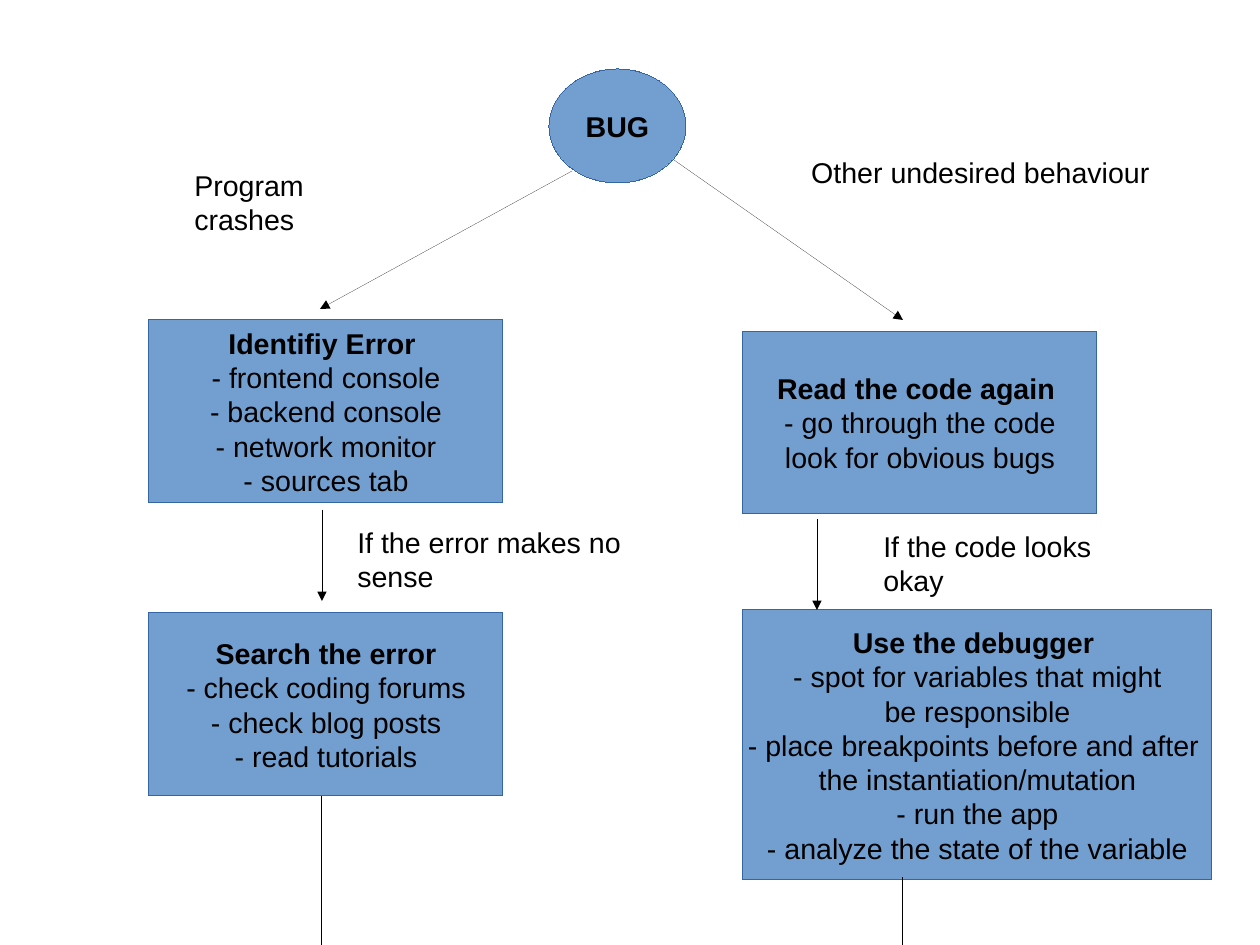
from pptx import Presentation
from pptx.dml.color import RGBColor
from pptx.enum.shapes import MSO_CONNECTOR, MSO_SHAPE
from pptx.enum.text import MSO_ANCHOR, MSO_AUTO_SIZE, PP_ALIGN
from pptx.oxml.ns import qn
from pptx.util import Pt
from lxml.etree import SubElement

PX = 8000  # EMU per px
SLIDE_W, SLIDE_H = 1260, 945
BLUE, EDGE, BLACK = "729FCF", "3465A4", "000000"
STEP_W, STEP_H = 354, 183
HAIRLINE = 1  # EMU


def px(*lengths):
    return [length * PX for length in lengths]


def color(hex_value):
    return RGBColor.from_string(hex_value)


def write(frame, lines, title=False, align=PP_ALIGN.LEFT, **frame_format):
    for name, value in frame_format.items():
        setattr(frame, name, value)
    for i, line in enumerate(lines):
        paragraph = frame.paragraphs[0] if i == 0 else frame.add_paragraph()
        paragraph.alignment = align
        run = paragraph.add_run()
        run.text = line
        font_format = {"name": "Arial", "size": Pt(18), "bold": title and i == 0}
        for name, value in font_format.items():
            setattr(run.font, name, value)
        run.font.color.rgb = color(BLACK)


def node(slide, box, lines, outline=MSO_SHAPE.RECTANGLE):
    shape = slide.shapes.add_shape(outline, *px(*box))
    shape.shadow.inherit = False
    shape.fill.solid()
    shape.fill.fore_color.rgb = color(BLUE)
    shape.line.color.rgb = color(EDGE)
    shape.line.width = HAIRLINE
    write(shape.text_frame, lines, title=True, align=PP_ALIGN.CENTER,
          word_wrap=False, vertical_anchor=MSO_ANCHOR.MIDDLE)


def label(slide, box, lines, wrap=False):
    textbox = slide.shapes.add_textbox(*px(*box))
    write(textbox.text_frame, lines, word_wrap=wrap,
          auto_size=MSO_AUTO_SIZE.SHAPE_TO_FIT_TEXT)


def arrow(slide, start, end, head=True):
    connector = slide.shapes.add_connector(MSO_CONNECTOR.STRAIGHT, *px(*start, *end))
    connector.line.color.rgb = color(BLACK)
    connector.line.width = HAIRLINE
    properties = connector._element.spPr
    if head:
        SubElement(properties.find(qn("a:ln")), qn("a:tailEnd"), type="triangle")
    SubElement(properties, qn("a:effectLst"))


def bug_start(slide, x, y):
    node(slide, (x, y, 137, 114), ["BUG"], MSO_SHAPE.OVAL)
    # Ways to the two branches
    arrow(slide, (x + 23, y + 102), (x - 229, y + 240))
    arrow(slide, (x + 125, y + 91), (x + 354, y + 251))
    label(slide, (x + 251, y + 80, 361, 43), ["Other undesired behaviour"])
    label(slide, (x - 366, y + 93, 240, 43), ["Program crashes"])


def crash_branch(slide, x, y):
    arrow_x = x + 173
    node(slide, (x, y, STEP_W, STEP_H), [
        "Identifiy Error ", "- frontend console", "- backend console",
        "- network monitor", "- sources tab"])
    # Unclear error: search for it
    arrow(slide, (arrow_x, y + 190), (arrow_x, y + 281))
    node(slide, (x, y + 293, STEP_W, STEP_H), [
        "Search the error", "- check coding forums",
        "- check blog posts", "- read tutorials"])
    label(slide, (x + 197, y + 199, 294, 110),
          ["If the error makes no", "sense"], wrap=True)
    # Continues below the page
    arrow(slide, (arrow_x, y + 477), (arrow_x, SLIDE_H), head=False)


def behaviour_branch(slide, x, y):
    node(slide, (x, y, STEP_W, STEP_H), [
        "Read the code again ", "- go through the code", "look for obvious bugs"])
    # Code looks fine: debug it
    node(slide, (x, y + 279, 469, 270), [
        "Use the debugger ", "- spot for variables that might", "be responsible",
        "- place breakpoints before and after ", "the instantiation/mutation",
        "- run the app", "- analyze the state of the variable"])
    label(slide, (x + 129, y + 192, 294, 110), ["If the code looks okay"], wrap=True)
    arrow(slide, (x + 74, y + 188), (x + 74, y + 279))
    # Continues below the page
    arrow(slide, (x + 160, y + 547), (x + 160, SLIDE_H), head=False)


def main():
    deck = Presentation()
    deck.slide_width, deck.slide_height = px(SLIDE_W, SLIDE_H)
    slide = deck.slides.add_slide(deck.slide_layouts[6])
    bug_start(slide, 549, 69)
    crash_branch(slide, 149, 320)
    behaviour_branch(slide, 743, 331)
    deck.save("out.pptx")


if __name__ == "__main__":
    main()
